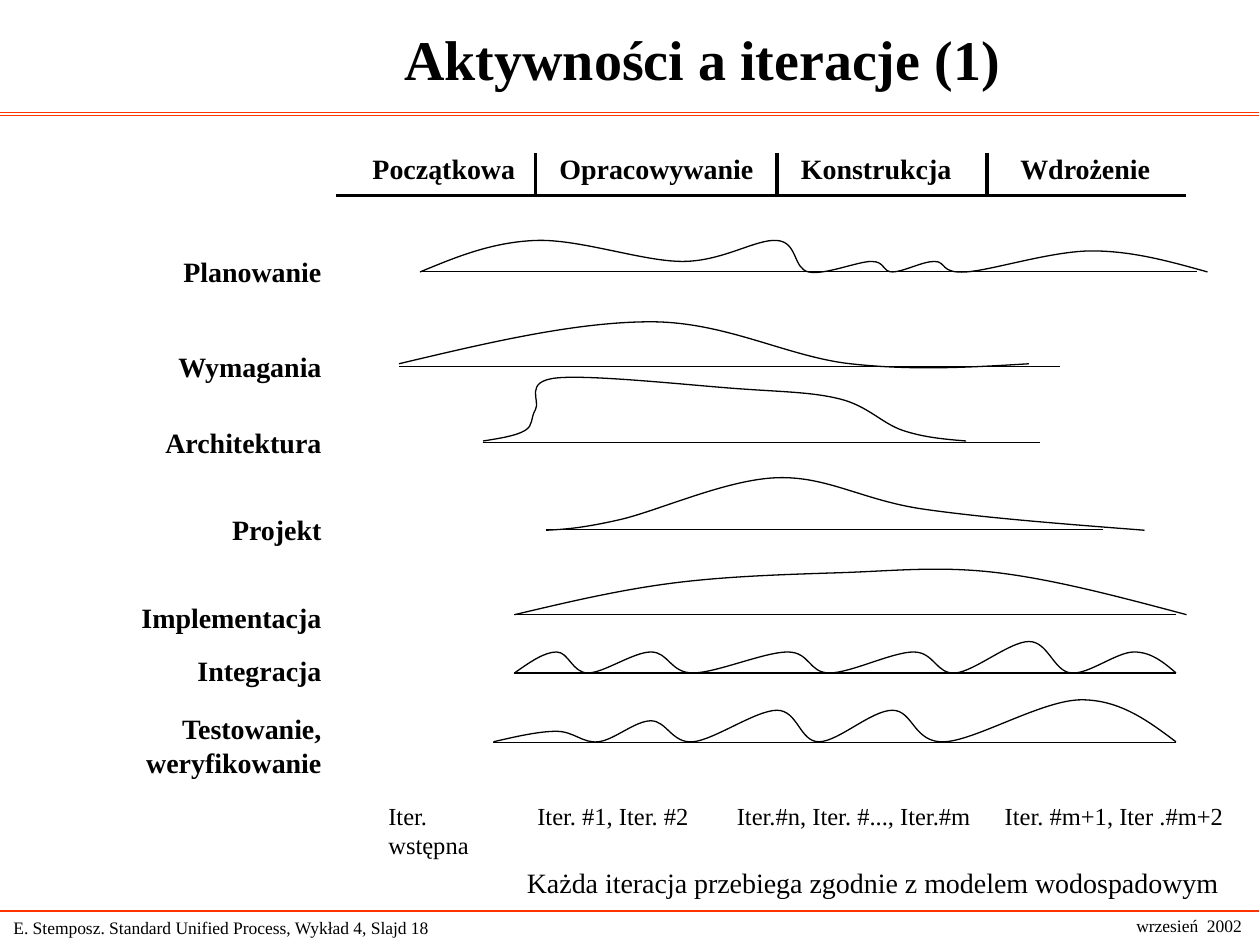
from pptx import Presentation, util as u
from pptx.dml import color
from pptx.enum import shapes, text
from pptx.oxml import xmlchemy as xc

COLORS = {"ink": "000000", "rule": "FF3300"}
COLS, ROWS = 120, 90
LEFT, CENTER, RIGHT = text.PP_ALIGN.LEFT, text.PP_ALIGN.CENTER, text.PP_ALIGN.RIGHT


def rgb(name):
    return color.RGBColor.from_string(COLORS[name])


def write(tf, content, size=16, bold=False, align=LEFT, name="ink"):
    for i, line in enumerate(content.split("\n")):
        p = tf.paragraphs[0] if i == 0 else tf.add_paragraph()
        p.alignment = align
        r = p.add_run()
        r.text = line
        r.font.name = "Times New Roman"
        r.font.size = u.Pt(size)
        r.font.bold = bold
        r.font.color.rgb = rgb(name)


class Board:
    def __init__(self, prs):
        self.s = prs.slides.add_slide(prs.slide_layouts[6])
        self.col = prs.slide_width / COLS
        self.row = prs.slide_height / ROWS

    def at(self, x, y):
        return round(x * self.col), round(y * self.row)

    def label(self, content, x, y, w, h, anchor=text.MSO_ANCHOR.TOP, wrap=False, **fmt):
        sp = self.s.shapes.add_textbox(*self.at(x, y), *self.at(w, h))
        tf = sp.text_frame
        tf.word_wrap = wrap
        tf.vertical_anchor = anchor
        write(tf, content, **fmt)

    def line(self, x1, y1, x2, y2, width=0.75, name="ink"):
        sp = self.s.shapes.add_connector(
            shapes.MSO_CONNECTOR.STRAIGHT, *self.at(x1, y1), *self.at(x2, y2))
        sp.line.color.rgb = rgb(name)
        sp.line.width = u.Pt(width)
        sp.element.spPr.append(xc.OxmlElement("a:effectLst"))

    def curve(self, base, knots):
        pts = [self.at(x, base - rise) for x, rise in knots]
        slopes = [tuple((b - a) / 6 for a, b in zip(p, q)) for p, q in zip(pts, pts[2:])]
        before = [tuple(a - d for a, d in zip(p, m)) for p, m in zip(pts[1:], slopes)]
        after = [tuple(a + d for a, d in zip(p, m)) for p, m in zip(pts[1:], slopes)]
        first = tuple((a + b) / 2 for a, b in zip(pts[0], before[0]))
        last = tuple((a + b) / 2 for a, b in zip(pts[-1], after[-1]))
        segments = zip([first] + after, before + [last], pts[1:])
        fb = self.s.shapes.build_freeform(*pts[0])
        fb.add_line_segments([p for seg in segments for p in seg], close=False)
        sp = fb.convert_to_shape()
        steps = sp.element.xpath(".//a:lnTo")
        for i in range(0, len(steps), 3):
            bezier = xc.OxmlElement("a:cubicBezTo")
            steps[i].addprevious(bezier)
            for step in steps[i:i + 3]:
                bezier.append(step[0])
                step.getparent().remove(step)
        sp.shadow.inherit = False
        sp.fill.background()
        sp.line.color.rgb = rgb("ink")
        sp.line.width = u.Pt(0.75)


PHASES = [("Początkowa", 34.3, 16.3), ("Opracowywanie", 52.1, 21.2),
          ("Konstrukcja", 75.1, 17), ("Wdrożenie", 96, 15.1)]

ITERATIONS = [("Iter.\nwstępna", 35.8, 10.4), ("Iter. #1, Iter. #2", 50, 17.3),
              ("Iter.#n, Iter. #..., Iter.#m", 69, 25.4),
              ("Iter. #m+1, Iter .#m+2", 94.5, 23.6)]

ACTIVITIES = [
    ("Planowanie", 23.65, 16, 25.85, 25.9, 114,
     [(40, 0), (51, 3), (65, 1), (74, 3), (77, 0), (83, 1), (85, 0), (89, 1), (92, 0),
      (104, 2), (115, 0)]),
    ("Wymagania", 32.65, 16.5, 34.9, 34.65, 101,
     [(38, 0), (62, 4), (81, 0), (98, 0)]),
    ("Architektura", 39.95, 17.6, 42.15, 42, 99,
     [(46, 0), (50, 1), (51, 3), (53, 6), (70, 5), (80, 4), (86, 1), (92, 0)]),
    ("Projekt", 48.2, 11.2, 50.4, 50.5, 105,
     [(52, 0), (59, 1), (74, 5), (88, 2), (109, 0)]),
    ("Implementacja", 56.6, 19.9, 58.55, 58.55, 112,
     [(49, 0), (64, 3), (80, 4), (95, 4), (113, 0)]),
    ("Integracja", 61.65, 14.5, 64.1, 64.1, 112,
     [(49, 0), (53, 2), (56, 0), (62, 2), (66, 0), (75, 2), (79, 0), (87, 2), (91, 0),
      (98, 3), (102, 0), (108, 2), (112, 0)]),
    ("Testowanie,\nweryfikowanie", 67.2, 19.5, 70.75, 70.65, 112,
     [(47, 0), (53, 1), (57, 0), (62, 2), (66, 0), (74, 3), (78, 0), (85, 3), (90, 0),
      (103, 4), (112, 0)]),
]


def main():
    prs = Presentation()
    prs.slide_width, prs.slide_height = u.Inches(10), u.Inches(7.5)
    board = Board(prs)
    middle = text.MSO_ANCHOR.MIDDLE

    for y in (10.7, 11, 86.75):
        board.line(-0.1, y, 119.9, y, name="rule")
    board.label("E. Stemposz. Standard Unified Process, Wykład 4, Slajd 18",
                0.1, 86.75, 53.8, 3.2, anchor=middle, wrap=True, size=10)
    board.label("wrzesień  2002", 107, 86.5, 12.5, 3.2,
                anchor=middle, size=10, align=CENTER)
    board.label("Aktywności a iteracje (1)", 13.9, 0, 106, 11,
                anchor=middle, wrap=True, size=32, bold=True, align=CENTER)

    board.line(32, 18.6, 113, 18.6, width=2)
    for x in (51, 74, 94):
        board.line(x, 14.6, x, 18.6, width=2)
    for name, x, w in PHASES:
        board.label(name, x, 13.8, w, 4.4, bold=True)

    for name, top, w, axis, base, end, knots in ACTIVITIES:
        h = 4.4 + 3.25 * name.count("\n")
        board.label(name, 31.8 - w, top, w, h, bold=True, align=RIGHT)
        board.line(knots[0][0], axis, end, axis)
        board.curve(base, knots)

    for name, x, w in ITERATIONS:
        board.label(name, x, 75.65, w, 4.1 + 2.7 * name.count("\n"), size=14)
    board.label("Każda iteracja przebiega zgodnie z modelem wodospadowym",
                49, 81.8, 68.6, 4.4)
    prs.save("out.pptx")


if __name__ == "__main__":
    main()
